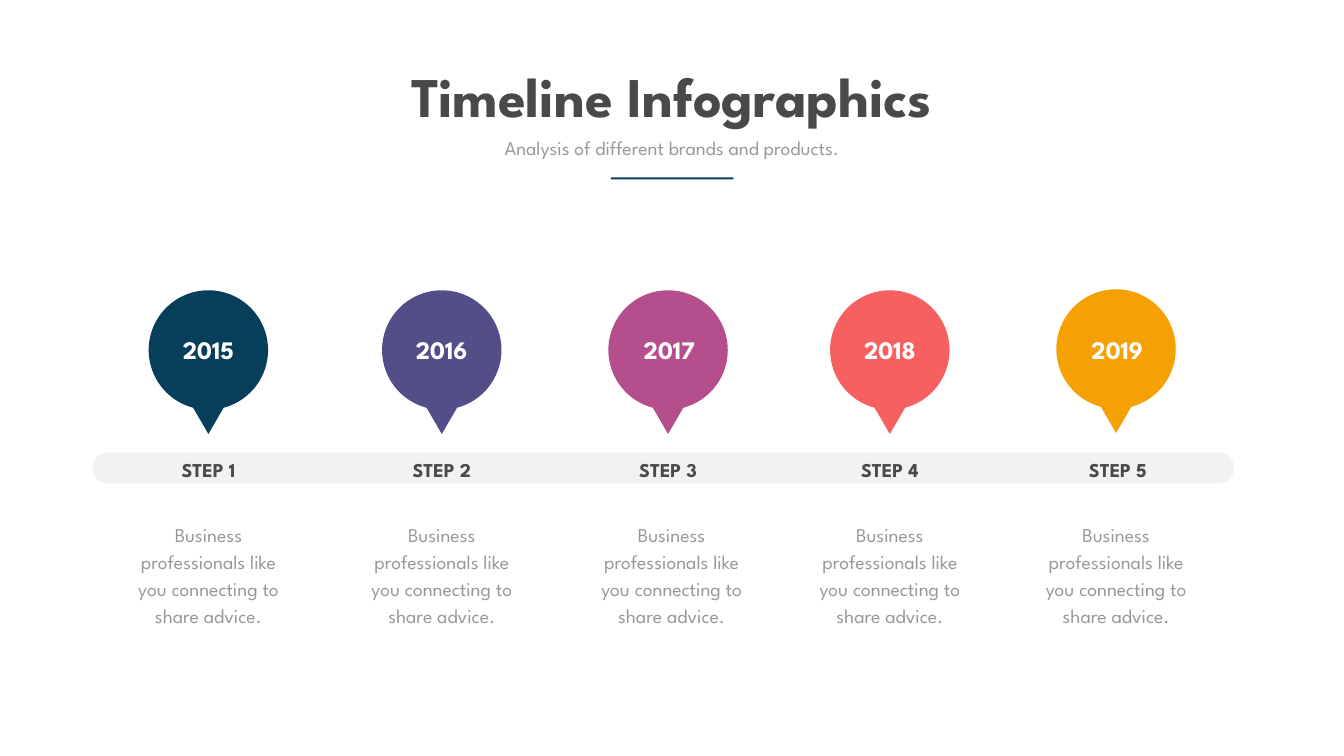
from dataclasses import dataclass

from pptx import Presentation
from pptx.dml.color import RGBColor
from pptx.enum.shapes import MSO_SHAPE
from pptx.enum.text import MSO_ANCHOR, MSO_AUTO_SIZE, PP_ALIGN
from pptx.util import Pt

ELLIPSE = MSO_SHAPE.OVAL
TRIANGLE = MSO_SHAPE.ISOSCELES_TRIANGLE
RECTANGLE = MSO_SHAPE.RECTANGLE
ROUNDED = MSO_SHAPE.ROUNDED_RECTANGLE
CENTER = PP_ALIGN.CENTER
TOP = MSO_ANCHOR.TOP
NO_AUTOFIT = MSO_AUTO_SIZE.NONE


@dataclass(frozen=True)
class Theme:
    font: str = "League Spartan"
    dark: str = "494949"
    muted: str = "999999"
    white: str = "FFFFFF"
    band: str = "F2F2F2"
    navy: str = "073E59"
    purple: str = "534D88"
    magenta: str = "B54E8D"
    coral: str = "F76061"
    amber: str = "F6A103"
    title_size: float = 80
    year_size: float = 36
    text_size: float = 28
    text_leading: float = 38.6


@dataclass(frozen=True)
class Milestone:
    """One step; the shifts are offsets in points from its pin."""
    year: str
    center: float
    color: str
    year_shift: float = 0
    step_shift: float = 0
    advice_shift: float = 0
    pin_rise: float = 0


THEME = Theme()
ADVICE = "Business professionals like you connecting to share advice."
MILESTONES = (
    Milestone("2015", 297.7, THEME.navy),
    Milestone("2016", 631.1, THEME.purple),
    Milestone("2017", 954.4, THEME.magenta, year_shift=1.8, advice_shift=5),
    Milestone("2018", 1271.2, THEME.coral),
    Milestone("2019", 1594.4, THEME.amber,
              year_shift=1.8, step_shift=2.5, pin_rise=1.4),
)


def write_text(frame, text, *, font, size, color, bold=False, leading=None):
    frame.word_wrap = True
    frame.auto_size = NO_AUTOFIT
    frame.vertical_anchor = TOP
    paragraph = frame.paragraphs[0]
    paragraph.alignment = CENTER
    paragraph.space_before = Pt(0)
    if leading:
        paragraph.line_spacing = Pt(leading)
    run = paragraph.add_run()
    run.text = text
    run.font.name = font
    run.font.size = Pt(size)
    run.font.bold = bold
    run.font.color.rgb = RGBColor.from_string(color)


class TimelineSlide:
    def __init__(self, slide, theme):
        self.slide = slide
        self.theme = theme

    def heading(self, placeholder, text, box, **style):
        placeholder.left, placeholder.top, placeholder.width, placeholder.height = map(Pt, box)
        write_text(placeholder.text_frame, text, font=self.theme.font, **style)

    def label(self, text, center, top, width, height, **style):
        box = self.slide.shapes.add_textbox(
            Pt(center - width / 2), Pt(top), Pt(width), Pt(height))
        write_text(box.text_frame, text, font=self.theme.font, **style)

    def shape(self, kind, box, color, parent=None):
        shapes = (parent or self.slide).shapes
        shape = shapes.add_shape(kind, *map(Pt, box))
        shape.shadow.inherit = False
        shape.fill.solid()
        shape.fill.fore_color.rgb = RGBColor.from_string(color)
        shape.line.fill.background()
        return shape

    def pin(self, center, top, color):
        """Group a round head with a triangle that points down."""
        head, tip_width, tip_height = 170.6, 72, 62
        group = self.slide.shapes.add_group_shape()
        self.shape(ELLIPSE, (center - head / 2, top, head, head), color, group)
        tip = self.shape(
            TRIANGLE, (center - tip_width / 2, top + 143.3, tip_width, tip_height),
            color, group)
        tip.rotation = 180


def main():
    deck = Presentation()
    deck.slide_width, deck.slide_height = Pt(1920), Pt(1080)
    slide = deck.slides.add_slide(deck.slide_layouts[0])
    timeline = TimelineSlide(slide, THEME)

    title, subtitle = slide.placeholders
    timeline.heading(title, "Timeline Infographics", (538, 84.2, 844, 104.4),
                     size=THEME.title_size, color=THEME.dark, bold=True)
    timeline.heading(subtitle, "Analysis of different brands and products.",
                     (615.6, 190.8, 688.3, 41),
                     size=THEME.text_size, color=THEME.muted)
    timeline.shape(RECTANGLE, (872.6, 253.4, 175, 2.9), THEME.navy)

    band = timeline.shape(ROUNDED, (132.5, 646.5, 1630, 44), THEME.band)
    band.adjustments[0] = 0.47

    for number, step in enumerate(MILESTONES, start=1):
        timeline.pin(step.center, 414.7 - step.pin_rise, step.color)
        timeline.label(step.year, step.center + step.year_shift, 474.5, 103.7, 51,
                       size=THEME.year_size, color=THEME.white, bold=True)
        timeline.label(f"STEP {number}", step.center + step.step_shift, 650.9, 136.8, 41,
                       size=THEME.text_size, color=THEME.dark, bold=True)
        timeline.label(ADVICE, step.center + step.advice_shift, 738.7, 245.5, 161.3,
                       size=THEME.text_size, color=THEME.muted,
                       leading=THEME.text_leading)

    deck.save("out.pptx")


if __name__ == "__main__":
    main()
